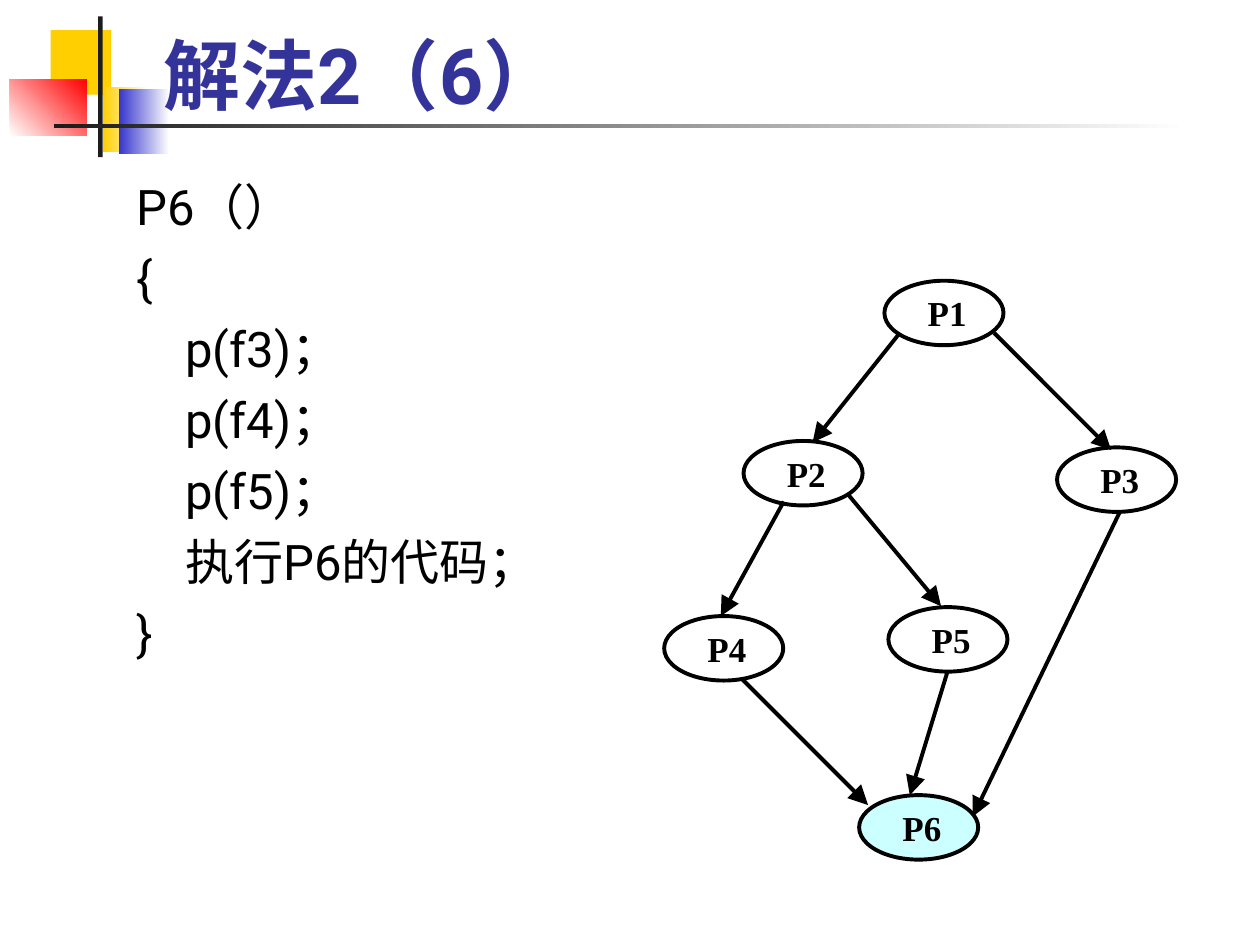
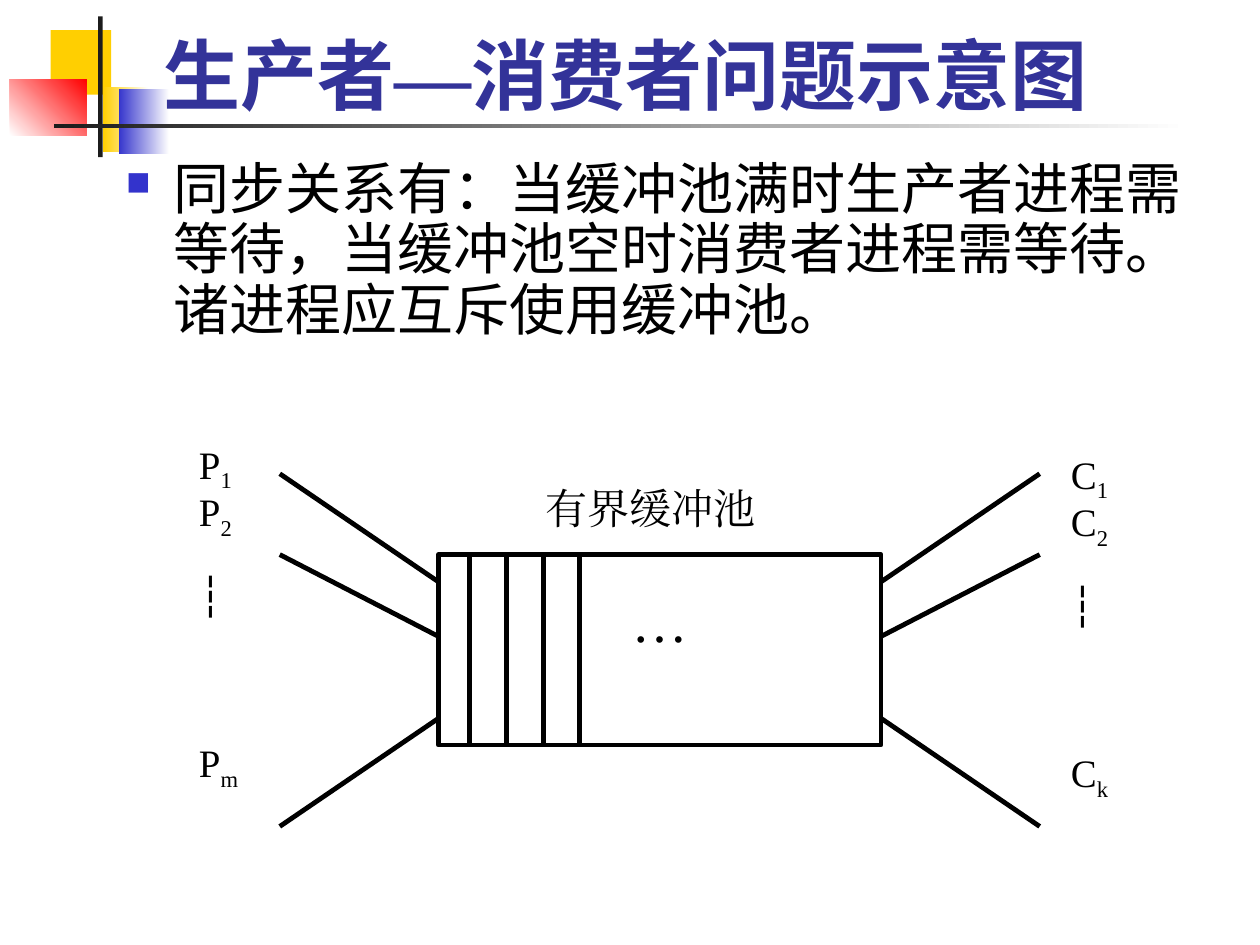
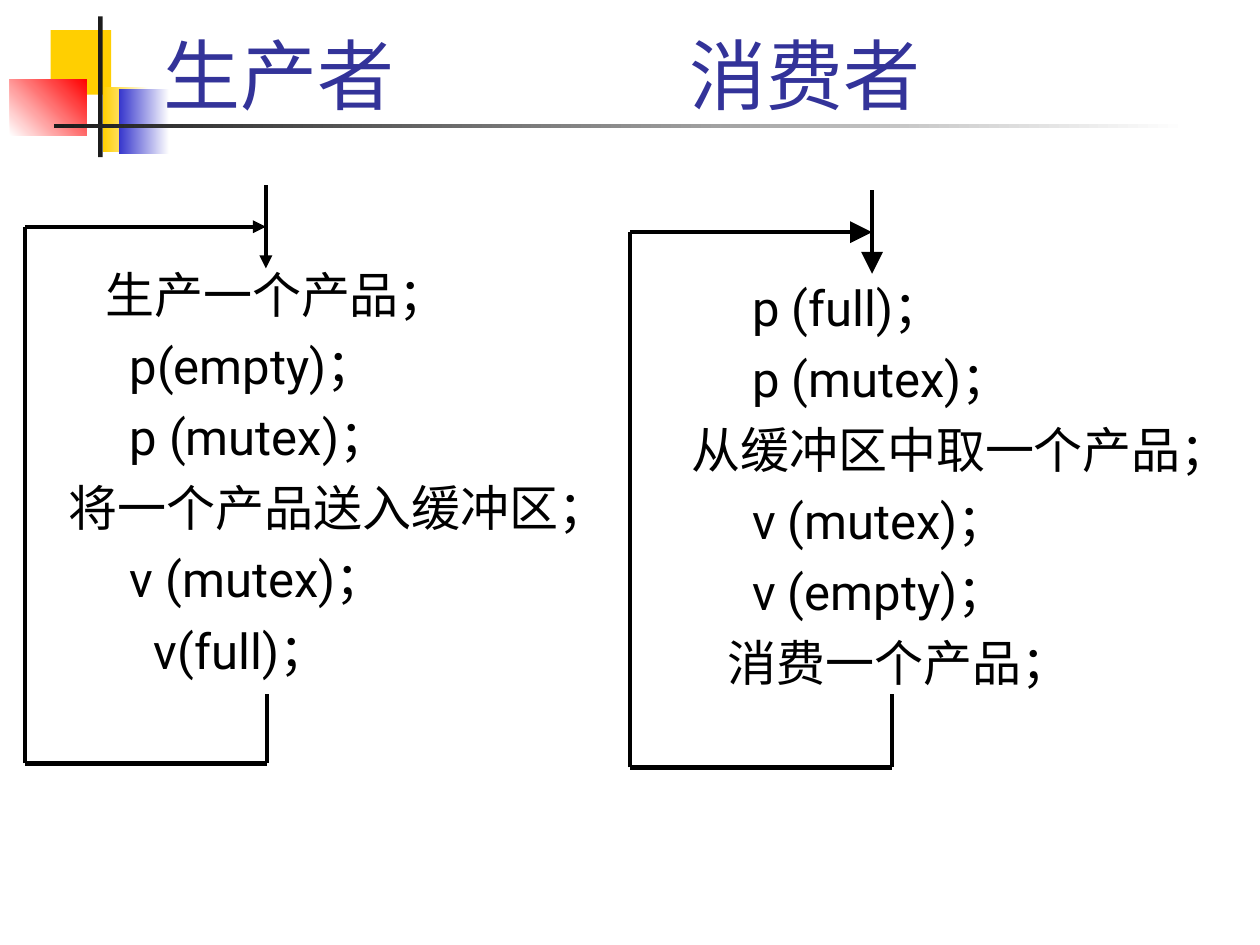
from dataclasses import dataclass
from lxml.etree import SubElement
from pptx import Presentation
from pptx.dml.color import RGBColor as RGB
from pptx.enum.shapes import MSO_CONNECTOR as Link, MSO_SHAPE as Form
from pptx.enum.text import MSO_ANCHOR as Anchor, PP_ALIGN as Align
from pptx.oxml.ns import qn
from pptx.util import Cm, Pt


@dataclass(frozen=True)
class Theme:
    ink: str = "000000"
    paper: str = "FFFFFF"
    title: str = "333399"
    gold: str = "FFCF01"
    blue: str = "3333CC"
    red: str = "FF0000"
    dark: str = "1C1C1C"
    aqua: str = "CCFFFF"
    sans: str = "Roboto"
    serif: str = "Times New Roman"
    head: float = 44
    lead: float = 32
    code: float = 28
    note: float = 24
    item: float = 22.2
    node: float = 20


class Deck:
    def __init__(self, theme):
        self.theme = theme
        self.show = Presentation()
        self.show.slide_width = Cm(25.4)
        self.show.slide_height = Cm(19.05)
        self.slide = None

    def page(self, *title, bold=True, tab=None):
        t = self.theme
        self.slide = self.show.slides.add_slide(self.show.slide_layouts[6])
        self.shape(1.02, 0.61, 1.22, 1.3, t.gold)
        self.shape(2.08, 1.75, 0.91, 1.32, (t.gold, t.paper))
        self.shape(2.39, 1.8, 1.02, 1.3, (t.blue, t.paper))
        self.shape(0.2, 1.6, 1.55, 1.14, (t.paper, t.red), angle=45)
        self.shape(1.98, 0.33, 0.09, 2.84, t.dark)
        self.shape(1.09, 2.51, 22.86, 0.08, (t.dark, t.paper))
        frame = self.box(3.05, 0.43, 21.64, 2.11)
        frame.vertical_anchor = Anchor.BOTTOM
        para = self.para(frame)
        if tab:
            stops = SubElement(para._p.get_or_add_pPr(), qn("a:tabLst"))
            SubElement(stops, qn("a:tab"), pos=str(Cm(tab)), algn="l")
        for text, font in title:
            self.run(para, text, t.head, font, t.title, bold)

    def shape(self, x, y, w, h, fill, form=Form.RECTANGLE, line=None, angle=0):
        item = self.slide.shapes.add_shape(form, Cm(x), Cm(y), Cm(w), Cm(h))
        item.shadow.inherit = False
        if isinstance(fill, tuple):
            item.fill.gradient()
            item.fill.gradient_angle = angle
            for stop, color in zip(item.fill.gradient_stops, fill):
                stop.color.rgb = RGB.from_string(color)
        else:
            item.fill.solid()
            item.fill.fore_color.rgb = RGB.from_string(fill)
        if line:
            item.line.color.rgb = RGB.from_string(self.theme.ink)
            item.line.width = Pt(line)
        else:
            item.line.fill.background()
        return item

    def box(self, x, y, w, h, pad=True):
        frame = self.slide.shapes.add_textbox(Cm(x), Cm(y), Cm(w), Cm(h)).text_frame
        frame.word_wrap = True
        if not pad:
            self.pad(frame)
        return frame

    def pad(self, frame, left=0, top=0):
        frame.margin_left, frame.margin_top = Cm(left), Cm(top)
        frame.margin_right = frame.margin_bottom = 0

    def para(self, frame, align=Align.LEFT, before=0):
        first = frame.paragraphs[0]
        para = frame.add_paragraph() if first.runs else first
        para.alignment = align
        para.space_before = Pt(before)
        return para

    def run(self, para, text, size, font, color=None, bold=False, sub=False):
        run = para.add_run()
        run.text = text
        run.font.size = Pt(size)
        run.font.bold = bold
        run.font.name = font
        run.font.color.rgb = RGB.from_string(color or self.theme.ink)
        props = run._r.get_or_add_rPr()
        SubElement(props, qn("a:ea"), typeface=font)
        if sub:
            props.set("baseline", "-25000")

    def hang(self, para):
        props = para._p.get_or_add_pPr()
        props.set("marL", str(Cm(0.95)))
        props.set("indent", str(-Cm(0.95)))
        return props

    def code(self, x, y, w, h, lines):
        frame = self.box(x, y, w, h)
        for i, text in enumerate(lines):
            para = self.para(frame, Align.JUSTIFY, 7 if i else 0)
            self.hang(para)
            self.run(para, text, self.theme.code, self.theme.sans)

    def bullet(self, x, y, w, h, text):
        para = self.para(self.box(x, y, w, h))
        para.line_spacing = 0.9
        props = self.hang(para)
        color = SubElement(props, qn("a:buClr"))
        SubElement(color, qn("a:srgbClr"), val=self.theme.blue)
        SubElement(props, qn("a:buSzPct"), val="60000")
        SubElement(props, qn("a:buChar"), char="■")
        self.run(para, text, self.theme.lead, self.theme.sans)

    def node(self, x, y, name, fill):
        t = self.theme
        frame = self.shape(x, y, 2.4, 1.3, fill, Form.OVAL, 2.25).text_frame
        self.pad(frame, left=0.13)
        frame.vertical_anchor = Anchor.MIDDLE
        self.run(self.para(frame, Align.CENTER), name, t.node, t.serif, bold=True)

    def line(self, x1, y1, x2, y2, width, tip=None):
        link = self.slide.shapes.add_connector(
            Link.STRAIGHT, Cm(x1), Cm(y1), Cm(x2), Cm(y2))
        link.line.color.rgb = RGB.from_string(self.theme.ink)
        link.line.width = Pt(width)
        if tip:
            SubElement(link.line._get_or_add_ln(), qn("a:tailEnd"),
                       type="triangle", w=tip, len=tip)
        SubElement(link._element.spPr, qn("a:effectLst"))

    def queue(self, x, y, name, last):
        t = self.theme
        frame = self.box(x, y, 1.27, 8.38, pad=False)
        rows = ((name, "1", 0), (name, "2", 0), ("┆", "", 23), (name, last, 69))
        for text, mark, gap in rows:
            para = self.para(frame, Align.JUSTIFY, gap)
            para.line_spacing = 0.9
            self.run(para, text, t.item, t.serif)
            if mark:
                self.run(para, mark, t.item, t.serif, sub=True)

    def loop(self, stem, top, back, tail, foot, tip):
        join = top + 0.84
        self.line(stem, top, stem, top + 1.68, 2.5, tip)
        self.line(tail, 14, tail, foot, 2.5)
        self.line(tail, foot, back, foot, 2.5)
        self.line(back, foot, back, join, 2.5)
        self.line(back, join, stem, join, 2.5, tip)


def graph(deck):
    t = deck.theme
    deck.page(("解法2（6）", t.sans))
    deck.code(2.51, 3.43, 8.79, 11.1, (
        "P6（）", "{", "    p(f3)；", "    p(f4)；", "    p(f5)；",
        "    执行P6的代码；", "}"))
    nodes = ((17.83, 5.66), (14.99, 8.89), (21.31, 9.02),
             (13.39, 12.42), (17.91, 12.24), (17.32, 16.03))
    for i, (x, y) in enumerate(nodes, 1):
        deck.node(x, y, f"P{i}", t.aqua if i == len(nodes) else t.paper)
    for ends in ((18.14, 6.71, 16.38, 8.92), (20.04, 6.71, 22.4, 9.07),
                 (15.8, 10.11, 14.53, 12.42), (17.09, 9.96, 18.97, 12.22),
                 (14.96, 13.69, 17.5, 16.23), (22.58, 10.31, 19.61, 16.46),
                 (19.1, 13.54, 18.34, 16.03)):
        deck.line(*ends, 2.25, "lg")


def pool(deck):
    t = deck.theme
    deck.page(("生产者", t.sans), ("—", t.serif), ("消费者问题示意图", t.sans))
    deck.bullet(2.29, 3.12, 22.58, 4.01,
                "同步关系有：当缓冲池满时生产者进程需等待，"
                "当缓冲池空时消费者进程需等待。诸进程应互斥使用缓冲池。")
    left, top, wide, high = 8.84, 11.18, 8.92, 3.84
    frame = deck.shape(left, top, wide, high, t.paper, line=2.75).text_frame
    deck.pad(frame, top=0.65)
    frame.vertical_anchor = Anchor.TOP
    deck.run(deck.para(frame, Align.CENTER), "…", t.lead, t.serif)
    for i in range(4):
        x = 9.47 + i * 0.74
        deck.line(x, top, x, top + high, 2.75)
    for far, near in ((9.55, 11.73), (11.18, 12.83), (16.66, 14.48)):
        for side, step in ((left, -3.2), (left + wide, 3.2)):
            deck.line(side + step, far, side, near, 2.75)
    deck.queue(4.01, 8.89, "P", "m")
    deck.queue(21.59, 9.09, "C", "k")
    label = deck.box(11, 9.73, 4.83, 1.27, pad=False)
    deck.run(deck.para(label, Align.JUSTIFY), "有界缓冲池", t.note, t.serif)


def pair(deck):
    deck.page(("生产者\t消费者", deck.theme.sans), bold=False, tab=10.6)
    deck.code(1.14, 5.21, 11.84, 10.16, (
        "   生产一个产品；", "     p(empty)；", "     p (mutex)；",
        "将一个产品送入缓冲区；", "     v (mutex)；", "       v(full)；"))
    deck.code(13.69, 5.46, 11.4, 11.13, (
        "     p (full)；", "     p (mutex)；", "从缓冲区中取一个产品；",
        "     v (mutex)；", "     v (empty)；", "   消费一个产品；"))
    deck.loop(5.36, 3.73, 0.51, 5.38, 15.39, "med")
    deck.loop(17.58, 3.84, 12.7, 17.98, 15.47, "lg")


def main():
    deck = Deck(Theme())
    for draw in (graph, pool, pair):
        draw(deck)
    deck.show.save("out.pptx")


if __name__ == "__main__":
    main()
